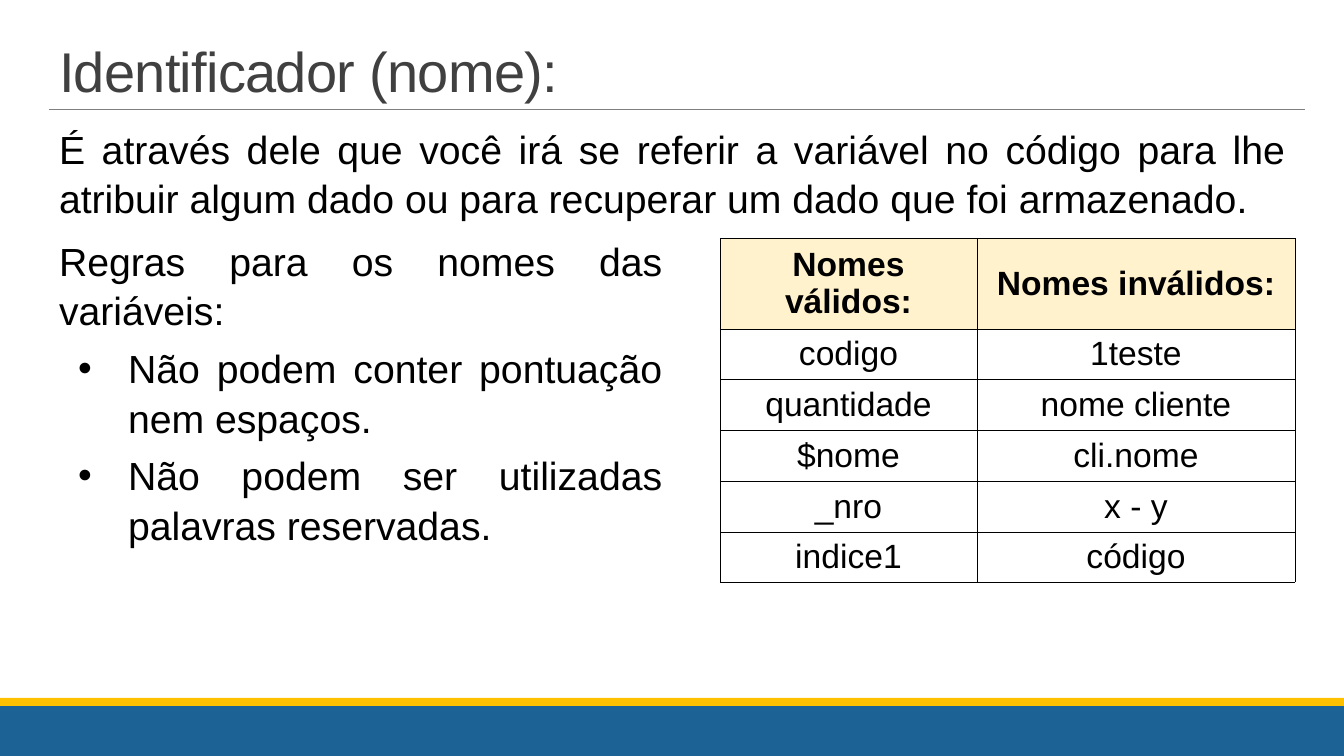
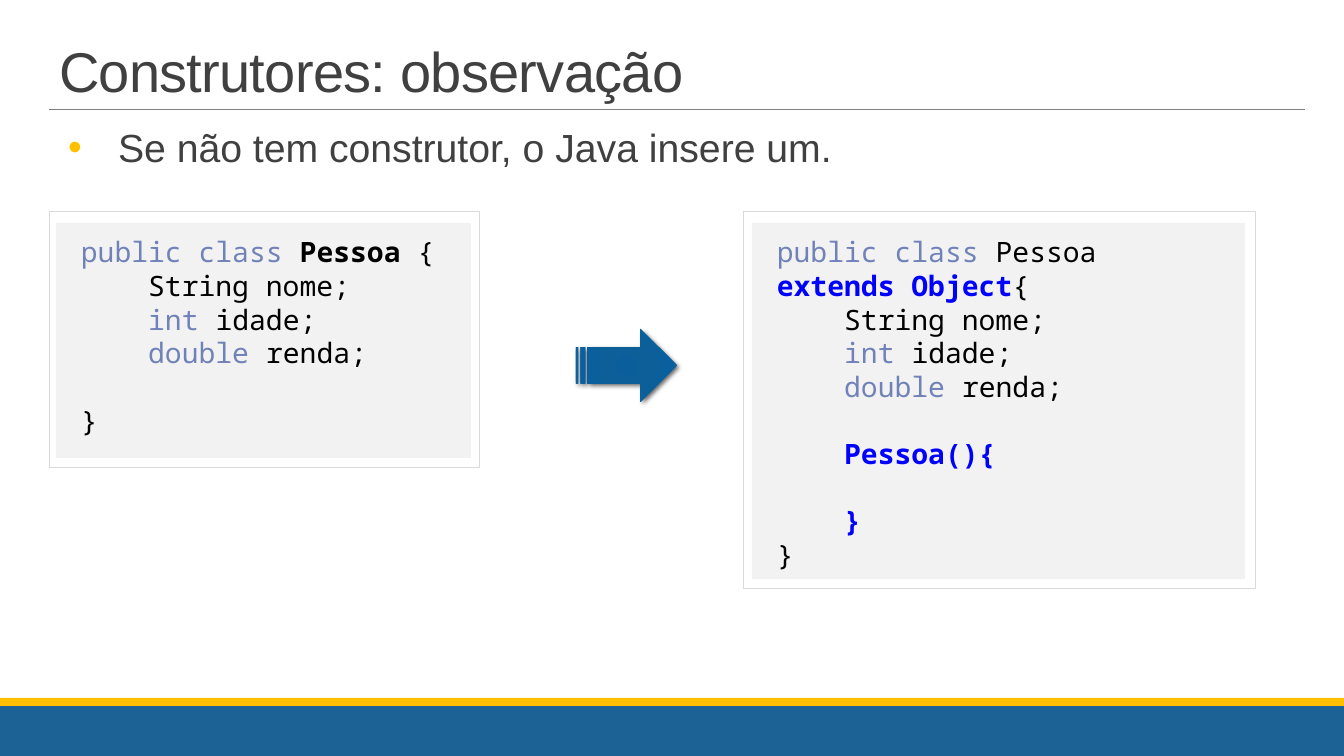
from pptx import Presentation
from pptx.dml.color import RGBColor as RGB
from pptx.enum.shapes import MSO_CONNECTOR as Line, MSO_SHAPE as Geo
from pptx.enum.text import MSO_ANCHOR as Anchor, PP_ALIGN as Align
from pptx.oxml import parse_xml
from pptx.oxml.ns import qn
from pptx.util import Pt
from lxml.etree import SubElement as Sub

WIDE, HIGH = 1344, 756
SCALE = 12192000 / WIDE
NS = 'xmlns:a="http://schemas.openxmlformats.org/drawingml/2006/main"'

BLUE = RGB(0x1C, 0x62, 0x94)
GOLD = RGB(0xFF, 0xC0, 0x00)
RULE = RGB(0x80, 0x80, 0x80)
INK = RGB(0x40, 0x40, 0x40)
BLACK = RGB(0, 0, 0)
WHITE = RGB(0xFF, 0xFF, 0xFF)
CREAM = RGB(0xFF, 0xF2, 0xCC)
PALE = RGB(0xF2, 0xF2, 0xF2)
EDGE = RGB(0xD9, 0xD9, 0xD9)
WORD = RGB(0x71, 0x82, 0xB8)
VIVID = RGB(0, 0, 0xFF)
GLOW = ((0, "095E9B"), (34, "0C5F99"), (70, "0A609F"), (100, "16639A"))

SANS, MONO = "Arial", "Noto Sans Mono"


def px(*nums):
    return [round(n * SCALE) for n in nums]


def add_run(para, text, size, color, font=SANS, bold=False):
    run = para.add_run()
    run.text = text
    face = run.font
    face.name, face.size, face.bold = font, Pt(size), bold
    face.color.rgb = color
    return run


def add_box(slide, box, fill=None, edge=None, kind=Geo.RECTANGLE):
    shape = slide.shapes.add_shape(kind, *px(*box))
    shape.shadow.inherit = False
    if fill is None:
        shape.fill.background()
    else:
        shape.fill.solid()
        shape.fill.fore_color.rgb = fill
    if edge is None:
        shape.line.fill.background()
    else:
        shape.line.color.rgb = edge
        shape.line.width = Pt(0.25)
    return shape


def add_frame(slide, box):
    frame = slide.shapes.add_textbox(*px(*box)).text_frame
    frame.word_wrap = True
    return frame


def add_para(frame, first):
    return frame.paragraphs[0] if first else frame.add_paragraph()


def add_mark(para, color):
    props = para._p.get_or_add_pPr()
    left, hang = px(69, -50)
    props.set("marL", str(left))
    props.set("indent", str(hang))
    tint = Sub(Sub(props, qn("a:buClr")), qn("a:srgbClr"))
    tint.set("val", str(color))
    Sub(props, qn("a:buFont")).set("typeface", SANS)
    Sub(props, qn("a:buChar")).set("char", "•")


def add_prose(slide, box, items, color=BLACK, mark=BLACK, inset=10):
    frame = add_frame(slide, box)
    frame.margin_left = frame.margin_right = px(inset)[0]
    for i, (text, listed) in enumerate(items):
        para = add_para(frame, i == 0)
        para.alignment = Align.JUSTIFY
        para.line_spacing = 1.05
        para.space_after = Pt(6)
        if listed:
            add_mark(para, mark)
        add_run(para, text, 28, color)


def set_base(slide):
    rule = slide.shapes.add_connector(Line.STRAIGHT, *px(49, 109, 1305, 109))
    rule.line.color.rgb = RULE
    rule.line.width = Pt(0.5)
    Sub(rule._element.spPr, qn("a:effectLst"))
    parts = (add_box(slide, (0, 706, WIDE, 50), BLUE),
             add_box(slide, (0, 698, WIDE, 8), GOLD), rule)
    tree = slide.slide_layout.shapes.element
    for part in parts:
        tree.append(part.element)


def add_slide(deck, text):
    slide = deck.slides.add_slide(deck.slide_layouts[5])
    title = slide.shapes.title
    title.left, title.top, title.width, title.height = px(49, 31, 1256, 78)
    frame = title.text_frame
    frame.vertical_anchor = Anchor.BOTTOM
    para = frame.paragraphs[0]
    para.alignment = Align.LEFT
    para.line_spacing = 0.85
    run = add_run(para, text, 40, INK)
    run.font._element.set("spc", "-50")
    return slide


def set_edges(cell):
    props = cell._tc.get_or_add_tcPr()
    for i, side in enumerate("LRTB"):
        props.insert(i, parse_xml(
            f'<a:ln{side} {NS} w="3175"><a:solidFill><a:srgbClr val="{BLACK}"/>'
            f'</a:solidFill></a:ln{side}>'))


def add_names(slide, left, top, rows):
    cols = (257, 318)
    highs = [91] + [51 - i % 2 for i in range(1, len(rows))]
    table = slide.shapes.add_table(
        len(rows), len(cols), *px(left, top, sum(cols), sum(highs))).table
    table.horz_banding = False
    for col, wide in zip(table.columns, px(*cols)):
        col.width = wide
    for row, high in zip(table.rows, px(*highs)):
        row.height = high
    for r, texts in enumerate(rows):
        for c, text in enumerate(texts):
            cell = table.cell(r, c)
            cell.vertical_anchor = Anchor.MIDDLE
            cell.fill.solid()
            cell.fill.fore_color.rgb = WHITE if r else CREAM
            set_edges(cell)
            para = cell.text_frame.paragraphs[0]
            para.alignment = Align.CENTER
            add_run(para, text, 24, BLACK, bold=r == 0)


def add_code(slide, box, side, lines):
    left, top, wide, high = box
    add_box(slide, (left + side, top + 12, wide - 2 * side - 1, high - 21), PALE)
    add_box(slide, box, edge=EDGE)
    pad = side + 15
    frame = add_frame(slide, (left + pad, top + 19, wide - 2 * pad, high - 42))
    for i, (gap, *runs) in enumerate(lines):
        para = add_para(frame, i == 0)
        para.line_spacing = Pt(24)
        if gap:
            para.space_before = Pt(24 * gap)
        for text, color in runs:
            add_run(para, text, 20, color, MONO, color == VIVID)
    return frame


def add_arrow(slide, box):
    arrow = add_box(slide, box, kind=Geo.STRIPED_RIGHT_ARROW)
    props = arrow._element.spPr
    stops = "".join(f'<a:gs pos="{at * 1000}"><a:srgbClr val="{tint}"/></a:gs>'
                    for at, tint in GLOW)
    props.replace(props.find(qn("a:noFill")), parse_xml(
        f'<a:gradFill {NS}><a:gsLst>{stops}</a:gsLst><a:path path="circle">'
        '<a:fillToRect l="100000" t="100000" r="100000" b="100000"/>'
        '</a:path></a:gradFill>'))
    props.replace(props.find(qn("a:effectLst")), parse_xml(
        f'<a:effectLst {NS}><a:outerShdw blurRad="{Pt(3.5)}" dist="{Pt(2)}" '
        f'dir="2700000" algn="tl"><a:srgbClr val="{BLACK}">'
        '<a:alpha val="60000"/></a:srgbClr></a:outerShdw></a:effectLst>'))


def make_names(deck):
    slide = add_slide(deck, "Identificador (nome):")
    set_base(slide)
    add_prose(slide, (49, 118, 1246, 105), [
        ("É através dele que você irá se referir a variável no código para lhe "
         "atribuir algum dado ou para recuperar um dado que foi armazenado.", False)])
    add_prose(slide, (49, 230, 623, 265), [
        ("Regras para os nomes das variáveis:", False),
        ("Não podem conter pontuação nem espaços.", True),
        ("Não podem ser utilizadas palavras reservadas.", True)])
    add_names(slide, 720, 238, [
        ("Nomes válidos:", "Nomes inválidos:"), ("codigo", "1teste"),
        ("quantidade", "nome cliente"), ("$nome", "cli.nome"),
        ("_nro", "x - y"), ("indice1", "código")])


def make_code(deck):
    slide = add_slide(deck, "Construtores: observação")
    add_prose(slide, (49, 116, 1256, 60),
              [("Se não tem construtor, o Java insere um.", True)],
              INK, GOLD, 0)
    start = ("public class ", WORD)
    fields = [(0, ("    String nome;", BLACK)),
              (0, ("    int", WORD), (" idade;", BLACK)),
              (0, ("    double", WORD), (" renda;", BLACK))]
    plain = add_code(slide, (49, 211, 430, 256), 7, [
        (0, start, ("Pessoa", BLACK), (" {", BLACK)), *fields,
        (1, ("}", BLACK))])
    plain.paragraphs[0].runs[1].font.bold = True
    add_code(slide, (743, 211, 512, 377), 9, [
        (0, start, ("Pessoa ", BLACK), ("extends Object", VIVID), ("{", BLACK)),
        *fields, (1, ("    Pessoa(){", VIVID)), (1, ("    }", VIVID)),
        (0, ("}", BLACK))])
    add_arrow(slide, (576, 329, 101, 73))


def main():
    deck = Presentation()
    deck.slide_width, deck.slide_height = px(WIDE, HIGH)
    make_names(deck)
    make_code(deck)
    deck.save("out.pptx")


if __name__ == "__main__":
    main()
